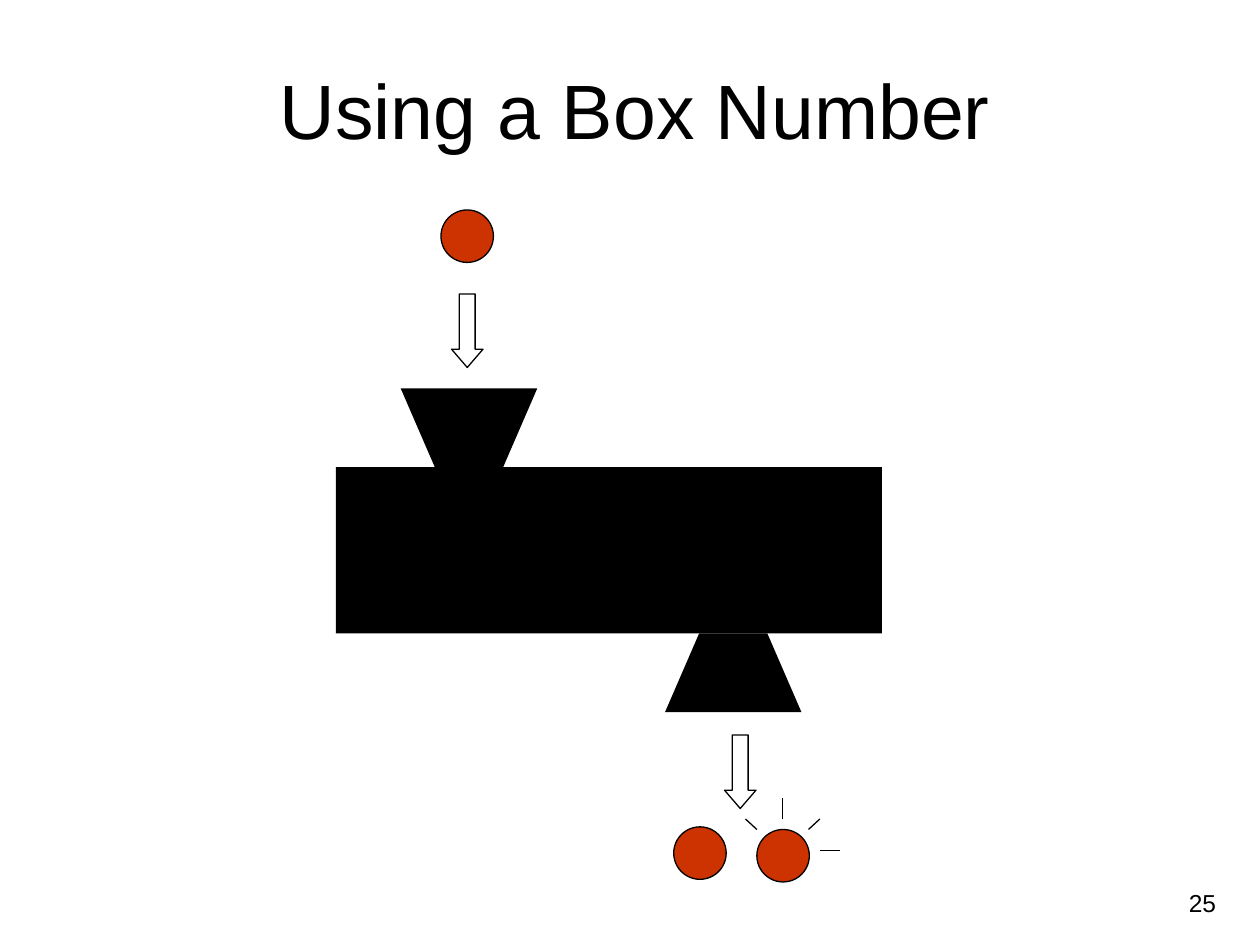
from dataclasses import dataclass

import pptx
import pptx.dml.color
import pptx.enum.shapes
import pptx.enum.text
import pptx.oxml.ns
import pptx.util
from lxml import etree

Pt = pptx.util.Pt
RGB = pptx.dml.color.RGBColor
SHAPE = pptx.enum.shapes.MSO_SHAPE
ALIGN = pptx.enum.text.PP_ALIGN
ANCHOR = pptx.enum.text.MSO_ANCHOR


@dataclass(frozen=True)
class Theme:
    ink: RGB = RGB(0, 0, 0)
    ball: RGB = RGB(0xCC, 0x33, 0x00)
    font: str = "Arial"
    title: int = 44
    number: int = 14
    line: float = 0.75


THEME = Theme()
BALL = 30


def paint(shape, fill=None, line=None):
    shape.shadow.inherit = False
    if fill is None:
        shape.fill.background()
    else:
        shape.fill.solid()
        shape.fill.fore_color.rgb = fill
    if line is None:
        shape.line.fill.background()
    else:
        shape.line.color.rgb = line
        shape.line.width = Pt(THEME.line)


def add_text(slide, box, text, size, align, anchor):
    frame = slide.shapes.add_textbox(*map(Pt, box)).text_frame
    frame.word_wrap = True
    frame.vertical_anchor = anchor
    frame.text = text
    para = frame.paragraphs[0]
    para.alignment = align
    font = para.runs[0].font
    font.name, font.size = THEME.font, Pt(size)
    font.color.rgb = THEME.ink


def add_ball(slide, left, top):
    ball = slide.shapes.add_shape(
        SHAPE.OVAL, Pt(left), Pt(top), Pt(BALL), Pt(BALL))
    paint(ball, THEME.ball, THEME.ink)


def add_arrow(slide, left, top):
    arrow = slide.shapes.add_shape(
        SHAPE.DOWN_ARROW, Pt(left), Pt(top), Pt(18), Pt(42))
    arrow.adjustments[0], arrow.adjustments[1] = 0.5, 0.58
    paint(arrow, line=THEME.ink)


def add_funnel(slide, left, wide, neck):
    """Draw a funnel from its wide edge at y = wide to its neck at y = neck."""
    width, inset = 78, 19.5
    path = slide.shapes.build_freeform(Pt(left), Pt(wide))
    path.add_line_segments([
        (Pt(left + width), Pt(wide)),
        (Pt(left + width - inset), Pt(neck)),
        (Pt(left + inset), Pt(neck)),
    ], close=True)
    paint(path.convert_to_shape(), THEME.ink)


def add_ray(slide, start, end):
    ray = slide.shapes.add_connector(
        pptx.enum.shapes.MSO_CONNECTOR.STRAIGHT, *map(Pt, start + end))
    ray.line.color.rgb = THEME.ink
    ray.line.width = Pt(THEME.line)
    props = ray._element.spPr
    etree.SubElement(props, pptx.oxml.ns.qn("a:effectLst"))


def add_input(slide, box):
    left, top, width, _ = box
    add_ball(slide, left + (width - BALL) / 2, top)
    add_arrow(slide, left + (width - 18) / 2, top + 48)


def add_machine(slide, box):
    """Draw the black box with a funnel above and a spout below."""
    left, top, width, height = box
    neck = 45
    body = slide.shapes.add_shape(
        SHAPE.RECTANGLE, Pt(left), Pt(top + neck), Pt(width),
        Pt(height - 2 * neck))
    paint(body, THEME.ink)
    add_funnel(slide, left + 37, top, top + neck)
    add_funnel(slide, left + 188, top + height, top + height - neck)


def add_output(slide, box):
    """Draw the arrow, a plain ball and a new ball with rays around it."""
    left, top, _, _ = box
    add_arrow(slide, left + 29, top)
    add_ball(slide, left, top + 52.5)
    fresh, level = left + 47.5, top + 54
    add_ball(slide, fresh, level)
    rays = [
        ((14.5, -6), (14.5, -18)),
        ((29.5, 0), (36, -6)),
        ((36, 12), (47.5, 12)),
        ((0, 0), (-6.5, -6)),
    ]
    for ray in rays:
        start, end = [(fresh + x, level + y) for x, y in ray]
        add_ray(slide, start, end)


def main():
    deck = pptx.Presentation()
    deck.slide_width, deck.slide_height = Pt(720), Pt(540)
    slide = deck.slides.add_slide(deck.slide_layouts[6])
    add_text(slide, (18, 21.5, 690, 81), "Using a Box Number",
             THEME.title, ALIGN.CENTER, ANCHOR.MIDDLE)
    add_input(slide, (252, 120, 30, 90))
    add_machine(slide, (192, 222, 312, 185))
    add_output(slide, (385, 420, 95, 84))
    add_text(slide, (534, 504, 168, 25), "25",
             THEME.number, ALIGN.RIGHT, ANCHOR.TOP)
    deck.save("out.pptx")


if __name__ == "__main__":
    main()
